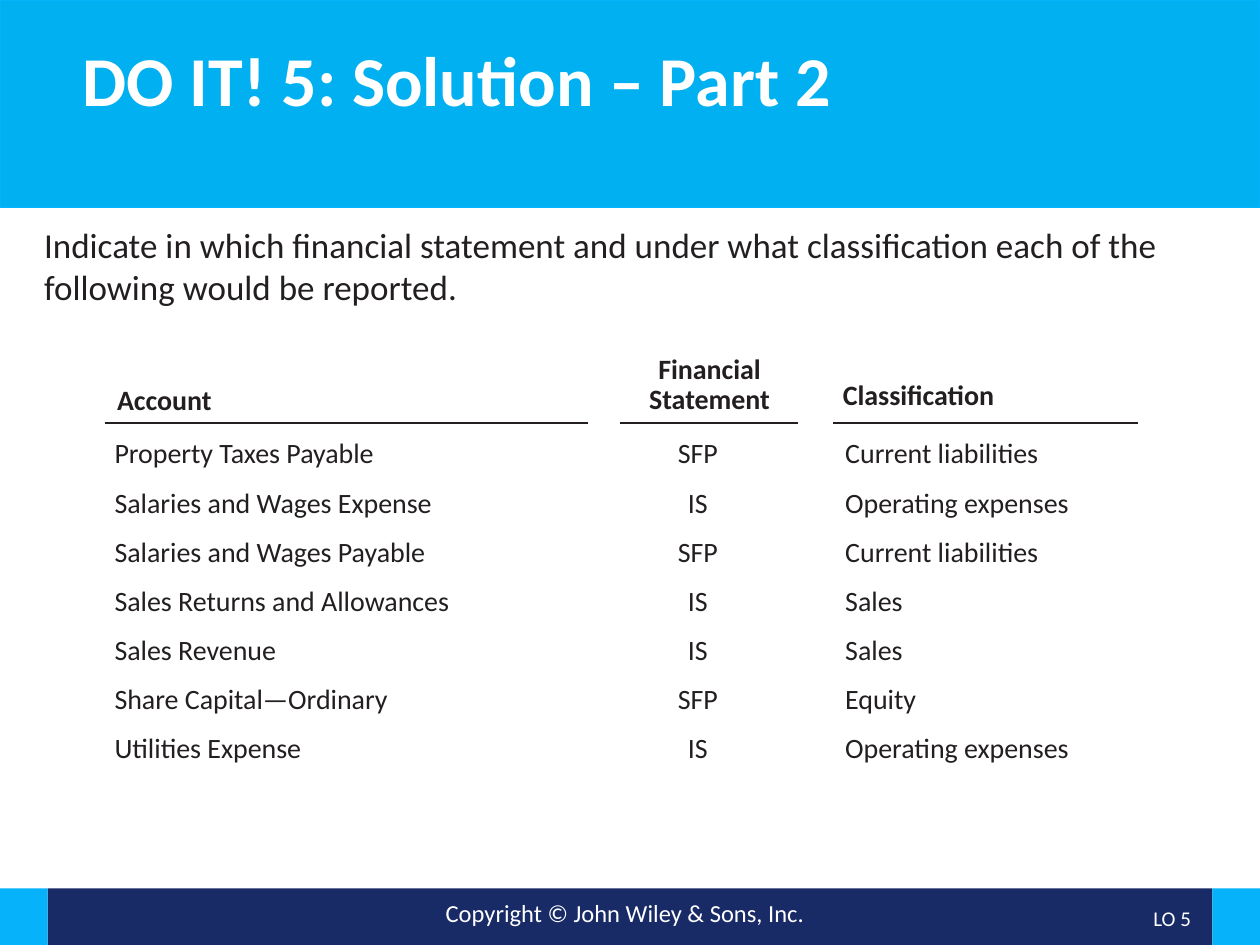
import pptx
import pptx.util
import pptx.dml.color
import pptx.enum.shapes
import pptx.enum.text
import lxml.etree
import pptx.oxml.ns

Cm = pptx.util.Cm
Pt = pptx.util.Pt
RGBColor = pptx.dml.color.RGBColor
ALIGN = pptx.enum.text.PP_ALIGN
ANCHOR = pptx.enum.text.MSO_ANCHOR

WHITE = RGBColor(0xFF, 0xFF, 0xFF)
INK = RGBColor(0x23, 0x1F, 0x20)
NAVY = RGBColor(0x19, 0x2B, 0x67)
SKY = RGBColor(0x06, 0xB2, 0xFA)
HEADER_BLUE = RGBColor(0x00, 0xB0, 0xF0)

deck = pptx.Presentation()
deck.slide_width, deck.slide_height = Cm(25.4), Cm(19.05)
page = deck.slides.add_slide(deck.slide_layouts[6])


def add_band(left, top, width, height, color):
    band = page.shapes.add_shape(
        pptx.enum.shapes.MSO_SHAPE.RECTANGLE, Cm(left), Cm(top), Cm(width), Cm(height))
    band.shadow.inherit = False
    band.fill.solid()
    band.fill.fore_color.rgb = color
    band.line.fill.background()
    return band


def add_text(text, left, top, width, height, size=16, color=INK, bold=False,
             align=ALIGN.LEFT, spacing=0.9, anchor=ANCHOR.TOP):
    box = page.shapes.add_textbox(Cm(left), Cm(top), Cm(width), Cm(height))
    frame = box.text_frame
    frame.word_wrap = True
    frame.vertical_anchor = anchor
    frame.text = text
    para = frame.paragraphs[0]
    para.alignment = align
    para.line_spacing = spacing
    font = para.runs[0].font
    font.name, font.size, font.bold = "Calibri", Pt(size), bold
    font.color.rgb = color


# Header and footer bands
add_band(0.96, 17.91, 23.48, 1.14, NAVY)
for left in (0, 24.44):
    add_band(left, 17.91, 0.96, 1.14, SKY)
header = add_band(0, 0, 25.4, 4.17, HEADER_BLUE)
header.line.color.rgb = SKY
header.line.width = Pt(1)

add_text("Copyright © John Wiley & Sons, Inc.", 6.35, 17.98, 12.5, 0.86,
         size=14, color=WHITE, align=ALIGN.CENTER, spacing=1.0)
add_text("DO IT! 5: Solution – Part 2", 1.42, 0.81, 22.56, 2.82,
         size=40, color=WHITE, bold=True)
add_text("Indicate in which financial statement and under what classification "
         "each of the following would be reported.",
         0.64, 4.39, 23.4, 2.26, size=20, spacing=1.0)

# Column headings, each above its own rule
add_text("Account", 2.11, 7.67, 2.9, 0.86, bold=True)
add_text("Financial Statement", 12.4, 7.04, 3.81, 1.5, bold=True, align=ALIGN.CENTER)
add_text("Classification", 16.74, 7.57, 4.62, 0.86, bold=True)

RULE_TOP = 8.53
for start, end in ((2.11, 11.86), (12.5, 16.08), (16.79, 22.94)):
    rule = page.shapes.add_connector(
        pptx.enum.shapes.MSO_CONNECTOR.STRAIGHT,
        Cm(start), Cm(RULE_TOP), Cm(end), Cm(RULE_TOP))
    rule.line.color.rgb = INK
    rule.line.width = Pt(1.5)
    lxml.etree.SubElement(rule._element.spPr, pptx.oxml.ns.qn("a:effectLst"))

# Account rows
accounts = [
    ("Property Taxes Payable", "SFP", "Current liabilities"),
    ("Salaries and Wages Expense", "IS", "Operating expenses"),
    ("Salaries and Wages Payable", "SFP", "Current liabilities"),
    ("Sales Returns and Allowances", "IS", "Sales"),
    ("Sales Revenue", "IS", "Sales"),
    ("Share Capital—Ordinary", "SFP", "Equity"),
    ("Utilities Expense", "IS", "Operating expenses"),
]
columns = [(2.06, 8.5, ALIGN.LEFT), (12.8, 2.54, ALIGN.CENTER), (16.79, 7.2, ALIGN.LEFT)]
FIRST_ROW, ROW_PITCH = 8.74, 0.99
for row, account in enumerate(accounts):
    for text, (left, width, align) in zip(account, columns):
        add_text(text, left, FIRST_ROW + row * ROW_PITCH, width, 0.86, align=align)

add_text("LO 5", 21.64, 18.11, 2.62, 0.84, size=12, color=WHITE,
         align=ALIGN.RIGHT, anchor=ANCHOR.MIDDLE)

deck.save("out.pptx")
